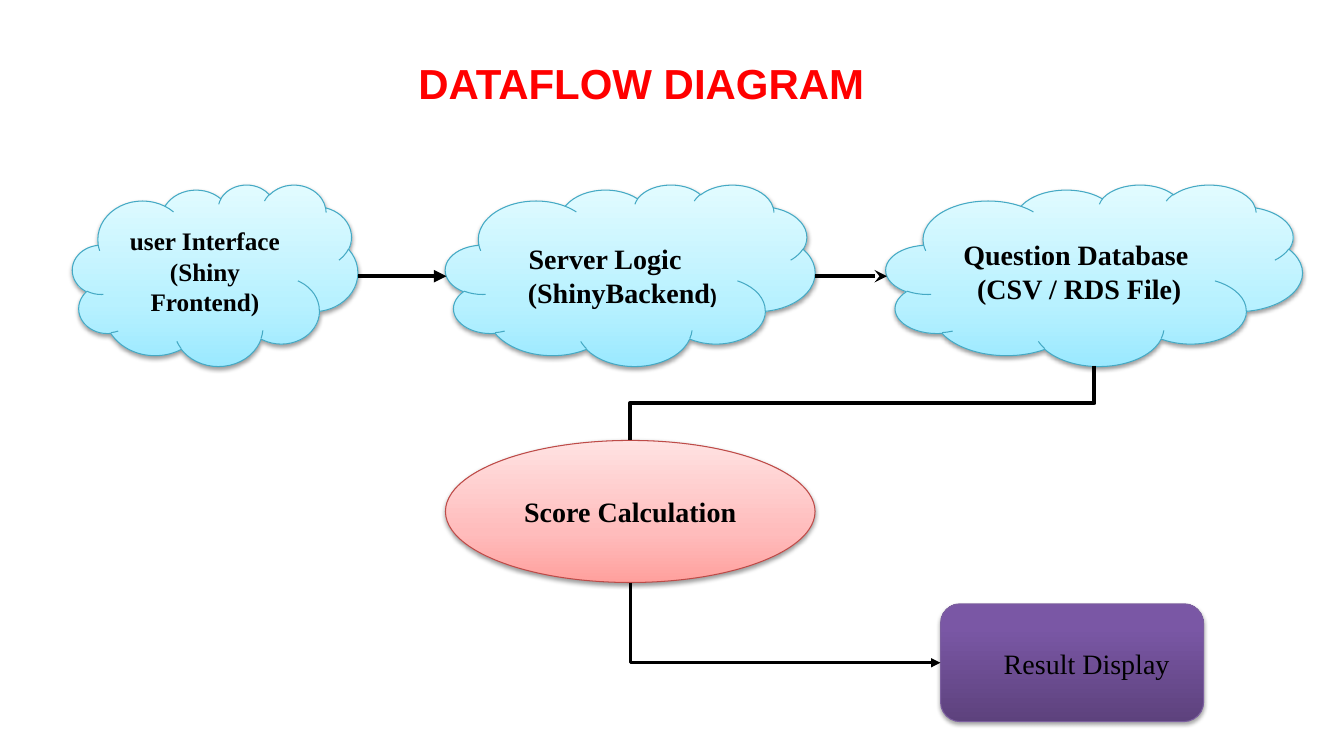
import pptx
import pptx.util
from lxml import etree
from pptx.dml.color import RGBColor
from pptx.enum.shapes import MSO_CONNECTOR, MSO_SHAPE
from pptx.enum.text import MSO_ANCHOR, PP_ALIGN
from pptx.oxml.ns import qn

Pt = pptx.util.Pt

RED = RGBColor(0xFF, 0x00, 0x00)
BLACK = RGBColor(0x00, 0x00, 0x00)
CLOUD_EDGE = RGBColor(0x45, 0xA9, 0xC4)
SCORE_EDGE = RGBColor(0xBD, 0x4B, 0x48)
RESULT_EDGE = RGBColor(0x7C, 0x5F, 0x9F)

# Gradient stops run from the bottom edge upwards: (percent, colour)
CLOUD_FILL = [(0, "9BE9FF"), (35, "B8F1FF"), (100, "E2FBFF")]
SCORE_FILL = [(0, "FFA09D"), (35, "FFBCBC"), (100, "FFE2E2")]
RESULT_FILL = [(0, "5D427D"), (80, "7A57A5"), (100, "7A56A7")]

SERIF = "Times New Roman"
SANS = "Arial"

# Each paragraph is a list of (text, size, font) runs
TITLE = [[("DATAFLOW DIAGRAM", 30, SANS)]]
SERVER = [[(" ", 20, SANS), ("Server Logic", 20, SERIF)],
          [(" (ShinyBackend", 20, SERIF), (")", 14, SANS)]]
RESULT = [[(" Result Display", 20, SERIF)]]

CLOUD_TOP, CLOUD_HEIGHT = 131.8, 129.6
CLOUDS = [  # left, width, paragraphs
    (51.8, 203.8, [[("user Interface (Shiny Frontend)", 18, SERIF)]]),
    (318.2, 264, []),
    (632.9, 297.4, [[("Question Database ", 20, SERIF)],
                    [("(CSV / RDS File)", 20, SERIF)]]),
]
SCORE_BOX = (318.2, 314.6, 264, 101.5)
SCORE = [[("Score Calculation", 20, SERIF)]]
RESULT_BOX = (671.8, 431.3, 187.9, 84.2)
FLOW_Y = 197.3
FLOW_HEADS = ["triangle", "stealth"]


def write(frame, paragraphs, color=BLACK, bold=True, align=PP_ALIGN.LEFT,
          anchor=MSO_ANCHOR.TOP, wrap=True, inset=(7.2, 3.6)):
    frame.word_wrap = wrap
    frame.vertical_anchor = anchor
    frame.margin_left = frame.margin_right = Pt(inset[0])
    frame.margin_top = frame.margin_bottom = Pt(inset[1])
    for index, runs in enumerate(paragraphs):
        paragraph = frame.paragraphs[0] if index == 0 else frame.add_paragraph()
        paragraph.alignment = align
        for text, size, font in runs:
            run = paragraph.add_run()
            run.text = text
            run.font.size = Pt(size)
            run.font.name = font
            run.font.bold = bold
            run.font.color.rgb = color


def add_label(slide, box, paragraphs, **text_format):
    label = slide.shapes.add_textbox(*map(Pt, box))
    write(label.text_frame, paragraphs, **text_format)


def add_node(slide, preset, box, stops, edge, paragraphs=(), shade=38):
    """Add a shape with a vertical gradient and a soft shadow below it."""
    node = slide.shapes.add_shape(preset, *map(Pt, box))
    node.line.color.rgb = edge
    node.line.width = Pt(0.75)
    node.fill.gradient()
    node.fill.gradient_angle = 90
    stop_list = node.element.spPr.find(qn("a:gradFill")).find(qn("a:gsLst"))
    for stop in list(stop_list):
        stop_list.remove(stop)
    for percent, color in stops:
        stop = etree.SubElement(stop_list, qn("a:gs"), pos=str(percent * 1000))
        etree.SubElement(stop, qn("a:srgbClr"), val=color)
    node.shadow.inherit = False
    effects = node.element.spPr.find(qn("a:effectLst"))
    shadow = etree.SubElement(effects, qn("a:outerShdw"), blurRad=str(Pt(3.1)),
                              dist=str(Pt(1.6)), dir="5400000", rotWithShape="0")
    tint = etree.SubElement(shadow, qn("a:srgbClr"), val="000000")
    etree.SubElement(tint, qn("a:alpha"), val=str(shade * 1000))
    write(node.text_frame, paragraphs, align=PP_ALIGN.CENTER,
          anchor=MSO_ANCHOR.MIDDLE)


def add_flow(slide, kind, start, end, width=3, head=None):
    flow = slide.shapes.add_connector(kind, *map(Pt, start + end))
    flow.line.color.rgb = BLACK
    flow.line.width = Pt(width)
    if head:
        etree.SubElement(flow.line._get_or_add_ln(), qn("a:tailEnd"), type=head)
    etree.SubElement(flow.element.spPr, qn("a:effectLst"))
    return flow


def leave_downwards(flow, start, end, preset, turn, flip):
    """Turn an elbow so that its first leg runs down from the start."""
    across, down = abs(end[0] - start[0]), abs(end[1] - start[1])
    flow.left = Pt((start[0] + end[0] - down) / 2)
    flow.top = Pt((start[1] + end[1] - across) / 2)
    flow.width, flow.height = Pt(down), Pt(across)
    frame = flow.element.spPr.find(qn("a:xfrm"))
    frame.set("rot", str(turn * 60000))
    frame.set("flipH", str(int(flip)))
    flow.element.spPr.find(qn("a:prstGeom")).set("prst", preset)


def main():
    deck = pptx.Presentation()
    deck.slide_width, deck.slide_height = Pt(960), Pt(540)
    slide = deck.slides.add_slide(deck.slide_layouts[6])

    add_node(slide, MSO_SHAPE.OVAL, SCORE_BOX, SCORE_FILL, SCORE_EDGE, SCORE)
    add_node(slide, MSO_SHAPE.ROUNDED_RECTANGLE, RESULT_BOX, RESULT_FILL,
             RESULT_EDGE, shade=35)
    for left, width, paragraphs in CLOUDS:
        add_node(slide, MSO_SHAPE.CLOUD, (left, CLOUD_TOP, width, CLOUD_HEIGHT),
                 CLOUD_FILL, CLOUD_EDGE, paragraphs)

    for source, target, head in zip(CLOUDS, CLOUDS[1:], FLOW_HEADS):
        add_flow(slide, MSO_CONNECTOR.STRAIGHT, (source[0] + source[1], FLOW_Y),
                 (target[0] + 0.7, FLOW_Y), head=head)

    score_left, score_top, score_width, score_height = SCORE_BOX
    score_x = score_left + score_width / 2
    database_left, database_width, _ = CLOUDS[-1]
    database_foot = (database_left + database_width / 2, CLOUD_TOP + CLOUD_HEIGHT)
    score_head = (score_x, score_top)
    score_foot = (score_x, score_top + score_height)
    result_side = (RESULT_BOX[0], RESULT_BOX[1] + RESULT_BOX[3] / 2)

    to_score = add_flow(slide, MSO_CONNECTOR.ELBOW, database_foot, score_head)
    leave_downwards(to_score, database_foot, score_head, "bentConnector3", 90, False)
    to_result = add_flow(slide, MSO_CONNECTOR.ELBOW, score_foot, result_side,
                         width=2.25, head="triangle")
    leave_downwards(to_result, score_foot, result_side, "bentConnector2", 270, True)

    add_label(slide, (365, 169.2, 161.3, 55.4), SERVER)
    add_label(slide, (704.9, 457.9, 139, 31.7), RESULT, bold=False, wrap=False)
    add_label(slide, (298.8, 41, 391, 36), TITLE, color=RED, inset=(0, 0))
    deck.save("out.pptx")


if __name__ == "__main__":
    main()
